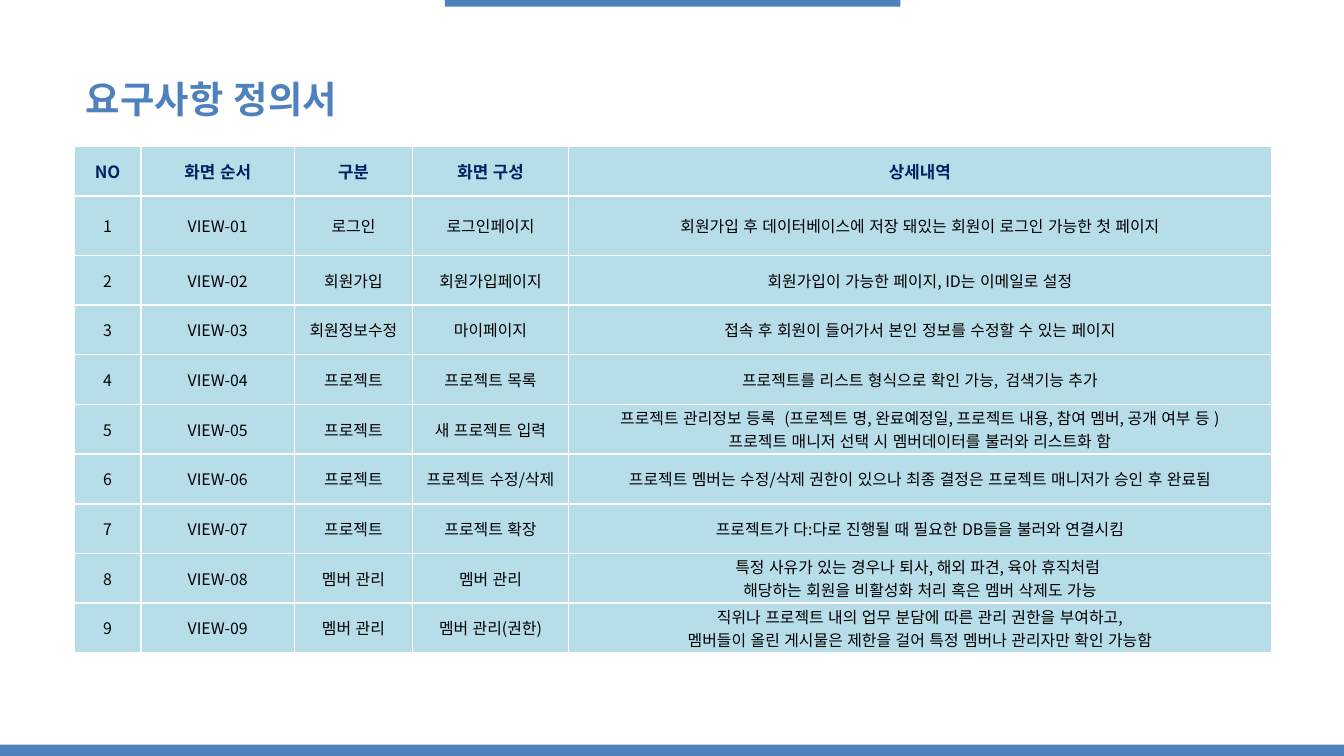
from lxml import etree
from pptx import Presentation
from pptx.dml.color import RGBColor as RGB
from pptx.enum.lang import MSO_LANGUAGE_ID as LANG
from pptx.enum.shapes import MSO_SHAPE as SHAPE
from pptx.enum.text import MSO_ANCHOR as ANCHOR, PP_ALIGN as ALIGN
from pptx.oxml import parse_xml
from pptx.oxml.ns import nsdecls, qn
from pptx.util import Inches, Pt

FONT = "Noto Sans CJK KR"
COLORS = {"blue": "4F81BD", "navy": "002060", "cell": "B7DEE8",
          "black": "000000", "white": "FFFFFF"}

TITLE = "요구사항 정의서"
HEADER = ["NO", "화면 순서", "구분", "화면 구성", "상세내역"]
VIEWS = [
    ("로그인", "로그인페이지",
     "회원가입 후 데이터베이스에 저장 돼있는 회원이 로그인 가능한 첫 페이지"),
    ("회원가입", "회원가입페이지", "회원가입이 가능한 페이지, ID는 이메일로 설정"),
    ("회원정보수정", "마이페이지",
     "접속 후 회원이 들어가서 본인 정보를 수정할 수 있는 페이지"),
    ("프로젝트", "프로젝트 목록",
     "프로젝트를 리스트 형식으로 확인 가능,  검색기능 추가"),
    ("프로젝트", "새 프로젝트 입력",
     "프로젝트 관리정보 등록  (프로젝트 명, 완료예정일, 프로젝트 내용, 참여 멤버, 공개 여부 등 )\n"
     "프로젝트 매니저 선택 시 멤버데이터를 불러와 리스트화 함"),
    ("프로젝트", "프로젝트 수정/삭제",
     "프로젝트 멤버는 수정/삭제 권한이 있으나 최종 결정은 프로젝트 매니저가 승인 후 완료됨"),
    ("프로젝트", "프로젝트 확장",
     "프로젝트가 다:다로 진행될 때 필요한 DB들을 불러와 연결시킴"),
    ("멤버 관리", "멤버 관리",
     "특정 사유가 있는 경우나 퇴사, 해외 파견, 육아 휴직처럼 \n"
     "해당하는 회원을 비활성화 처리 혹은 멤버 삭제도 가능"),
    ("멤버 관리", "멤버 관리(권한)",
     "직위나 프로젝트 내의 업무 분담에 따른 관리 권한을 부여하고,\n"
     "멤버들이 올린 게시물은 제한을 걸어 특정 멤버나 관리자만 확인 가능함"),
]
BARS = [(3.31, 0, 3.39, 0.05), (0, 5.54, 10, 0.09)]
COL_WIDTHS = [0.5, 1.14, 0.88, 1.16, 5.23]
ROW_HEIGHT, FIRST_VIEW_HEIGHT = 0.37, 0.44


def color(name):
    return RGB.from_string(COLORS[name])


def write(tf, text, size=8.5, fill="black", bold=False, align=ALIGN.LEFT):
    for i, line in enumerate(text.split("\n")):
        p = tf.add_paragraph() if i else tf.paragraphs[0]
        p.alignment = align
        r = p.add_run()
        r.text = line
        r.font.size, r.font.bold, r.font.name = Pt(size), bold, FONT
        r.font.language_id = LANG.KOREAN
        r.font.color.rgb = color(fill)
        etree.SubElement(r.font._element, qn("a:ea")).set("typeface", FONT)


def add_borders(cell):
    tc_pr = cell._tc.get_or_add_tcPr()
    for i, side in enumerate("LRTB"):
        tc_pr.insert(i, parse_xml(
            f'<a:ln{side} {nsdecls("a")} w="12700"><a:solidFill>'
            f'<a:srgbClr val="{COLORS["white"]}"/></a:solidFill></a:ln{side}>'))


prs = Presentation()
prs.slide_width = Inches(10)
prs.slide_height = prs.slide_width * 9 // 16
s = prs.slides.add_slide(prs.slide_layouts[6])

for bar in BARS:
    sp = s.shapes.add_shape(SHAPE.RECTANGLE, *map(Inches, bar))
    sp.shadow.inherit = False
    sp.fill.solid()
    sp.fill.fore_color.rgb = color("blue")
    sp.line.fill.background()

title = s.shapes.add_textbox(*map(Inches, (0.54, 0.52, 3.71, 0.44)))
title.text_frame.word_wrap = True
write(title.text_frame, TITLE, size=20, fill="blue", bold=True)

rows = [HEADER] + [(str(n), f"VIEW-{n:02}", *view) for n, view in enumerate(VIEWS, 1)]
heights = [ROW_HEIGHT] * len(rows)
heights[1] = FIRST_VIEW_HEIGHT
table = s.shapes.add_table(
    len(rows), len(HEADER), Inches(0.55), Inches(1.09),
    Inches(sum(COL_WIDTHS)), Inches(sum(heights))).table
for col, width in zip(table.columns, COL_WIDTHS):
    col.width = Inches(width)

for i, (row, texts) in enumerate(zip(table.rows, rows)):
    row.height = Inches(heights[i])
    style = {} if i else {"size": 9, "fill": "navy", "bold": True}
    for cell, text in zip(row.cells, texts):
        cell.margin_left = cell.margin_right = cell.margin_top = cell.margin_bottom = 0
        cell.vertical_anchor = ANCHOR.MIDDLE
        cell.fill.solid()
        cell.fill.fore_color.rgb = color("cell")
        add_borders(cell)
        write(cell.text_frame, text, align=ALIGN.CENTER, **style)

prs.save("out.pptx")
